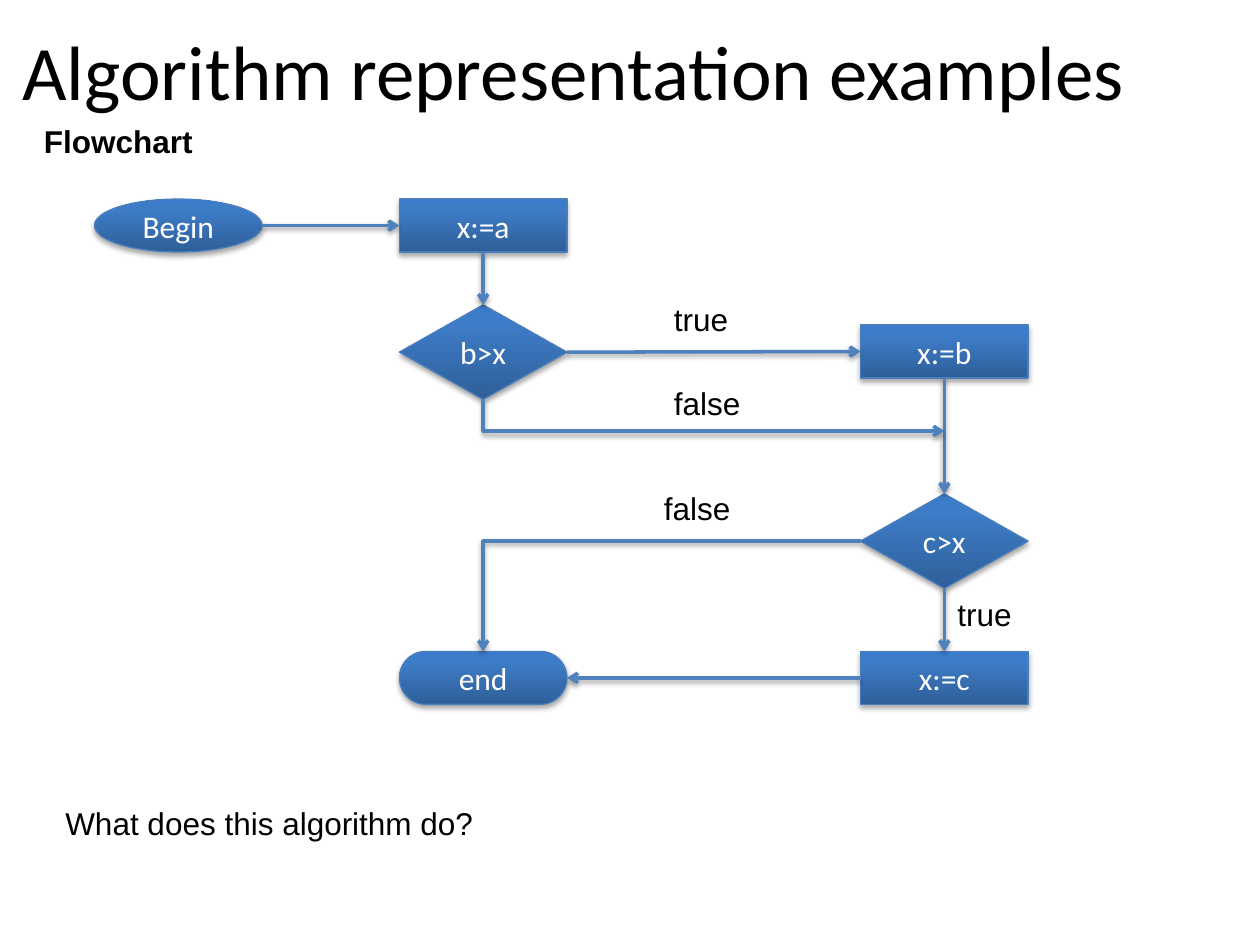
from lxml.etree import SubElement
from pptx import Presentation
from pptx.dml.color import RGBColor
from pptx.enum.shapes import MSO_CONNECTOR, MSO_SHAPE
from pptx.enum.text import MSO_ANCHOR, PP_ALIGN
from pptx.oxml import parse_xml
from pptx.oxml.ns import nsdecls, qn
from pptx.util import Inches, Pt

NODE_W = 1.33
BOX_H, DIAMOND_H = 0.42, 0.75
COL_1, COL_2, COL_3 = 0.75, 3.17, 6.83
GRADIENT = ((0, "2F5F99"), (80, "3D7CC7"), (100, "3A7CCB"))
TITLE = {"size": Pt(44), "name": "Calibri"}
LABEL = {"size": Pt(18), "name": "Arial"}
HEADING = {**LABEL, "bold": True}
NODE = {"size": Pt(18), "name": "Calibri"}


def rgb(value):
    return RGBColor.from_string(value)


def write(tf, text, font, color):
    p = tf.paragraphs[0]
    r = p.add_run()
    r.text = text
    for key, value in font.items():
        setattr(r.font, key, value)
    r.font.color.rgb = rgb(color)
    return p


def add_text(slide, text, x, y, w, h, font, wrap=False):
    sp = slide.shapes.add_textbox(Inches(x), Inches(y), Inches(w), Inches(h))
    tf = sp.text_frame
    tf.word_wrap = wrap
    tf.vertical_anchor = MSO_ANCHOR.MIDDLE if wrap else MSO_ANCHOR.TOP
    write(tf, text, font, "000000")


def add_shadow(sp, alpha, dist):
    sp.shadow.inherit = False
    effects = sp._element.spPr.find(qn("a:effectLst"))
    effects.append(parse_xml(
        f'<a:outerShdw {nsdecls("a")} blurRad="{Pt(3.1)}" dist="{Pt(dist)}" '
        f'dir="5400000" rotWithShape="0"><a:srgbClr val="000000">'
        f'<a:alpha val="{alpha * 1000}"/></a:srgbClr></a:outerShdw>'))


def fill_gradient(sp):
    stops = "".join(
        f'<a:gs pos="{pos * 1000}"><a:srgbClr val="{color}"/></a:gs>'
        for pos, color in GRADIENT)
    sp.fill.background()
    spPr = sp._element.spPr
    spPr.replace(spPr.find(qn("a:noFill")), parse_xml(
        f'<a:gradFill {nsdecls("a")} rotWithShape="1"><a:gsLst>{stops}</a:gsLst>'
        f'<a:lin ang="16200000" scaled="0"/></a:gradFill>'))


def add_node(slide, kind, text, x, y, h=BOX_H):
    sp = slide.shapes.add_shape(kind, Inches(x), Inches(y), Inches(NODE_W), Inches(h))
    if kind == MSO_SHAPE.ROUNDED_RECTANGLE:
        sp.adjustments[0] = 0.5
    fill_gradient(sp)
    sp.line.color.rgb = rgb("4B7EBC")
    sp.line.width = Pt(0.75)
    add_shadow(sp, 35, 1.8)
    tf = sp.text_frame
    tf.vertical_anchor = MSO_ANCHOR.MIDDLE
    write(tf, text, NODE, "FFFFFF").alignment = PP_ALIGN.CENTER
    return sp


def side(sp, name):
    fx, fy = {"top": (1, 0), "left": (0, 1), "bottom": (1, 2), "right": (2, 1)}[name]
    return sp.left + sp.width * fx // 2, sp.top + sp.height * fy // 2


def add_arrow(slide, start, end, kind=MSO_CONNECTOR.STRAIGHT):
    cx = slide.shapes.add_connector(kind, *start, *end)
    cx.line.color.rgb = rgb("4F81BD")
    cx.line.width = Pt(2)
    SubElement(cx.line._get_or_add_ln(), qn("a:tailEnd"), type="arrow")
    add_shadow(cx, 38, 1.6)
    return cx


def add_corner(slide, start, end, down_first=False):
    if down_first:
        (x1, y1), (x2, y2) = start, end
        mid_x, mid_y = (x1 + x2) // 2, (y1 + y2) // 2
        dx, dy = (x2 - x1) // 2, (y2 - y1) // 2
        start, end = (mid_x + dy, mid_y - dx), (mid_x - dy, mid_y + dx)
    cx = add_arrow(slide, start, end, MSO_CONNECTOR.ELBOW)
    spPr = cx._element.spPr
    spPr.find(qn("a:prstGeom")).set("prst", "bentConnector2")
    if down_first:
        spPr.find(qn("a:xfrm")).set("rot", "16200000")


def main():
    prs = Presentation()
    prs.slide_width, prs.slide_height = Inches(10), Inches(7.5)
    slide = prs.slides.add_slide(prs.slide_layouts[6])

    add_text(slide, "Algorithm representation examples", 0.08, 0.08, 9.75, 0.95, TITLE, True)
    add_text(slide, "Flowchart", 0.25, 0.92, 1.39, 0.4, HEADING)

    begin = add_node(slide, MSO_SHAPE.OVAL, "Begin", COL_1, 1.58)
    set_a = add_node(slide, MSO_SHAPE.RECTANGLE, "x:=a", COL_2, 1.58)
    set_b = add_node(slide, MSO_SHAPE.RECTANGLE, "x:=b", COL_3, 2.58)
    test_b = add_node(slide, MSO_SHAPE.DIAMOND, "b>x", COL_2, 2.42, DIAMOND_H)
    test_c = add_node(slide, MSO_SHAPE.DIAMOND, "c>x", COL_3, 3.92, DIAMOND_H)
    set_c = add_node(slide, MSO_SHAPE.RECTANGLE, "x:=c", COL_3, 5.17)
    end = add_node(slide, MSO_SHAPE.ROUNDED_RECTANGLE, "end", COL_2, 5.17)

    for source, out, target, into in (
        (begin, "right", set_a, "left"),
        (set_a, "bottom", test_b, "top"),
        (test_b, "right", set_b, "left"),
        (set_b, "bottom", test_c, "top"),
        (test_c, "bottom", set_c, "top"),
        (set_c, "left", end, "right"),
    ):
        add_arrow(slide, side(source, out), side(target, into))
    merge = side(set_b, "bottom")[0], Inches(3.42)
    add_corner(slide, side(test_b, "bottom"), merge, down_first=True)
    add_corner(slide, side(test_c, "left"), side(end, "top"))

    for text, x, y, w in (
        ("true", 5.25, 2.33, 0.64),
        ("false", 5.25, 3, 0.74),
        ("false", 5.17, 3.83, 0.74),
        ("true", 7.5, 4.67, 0.64),
        ("What does this algorithm do?", 0.42, 6.33, 3.47),
    ):
        add_text(slide, text, x, y, w, 0.4, LABEL)

    prs.save("out.pptx")


if __name__ == "__main__":
    main()
